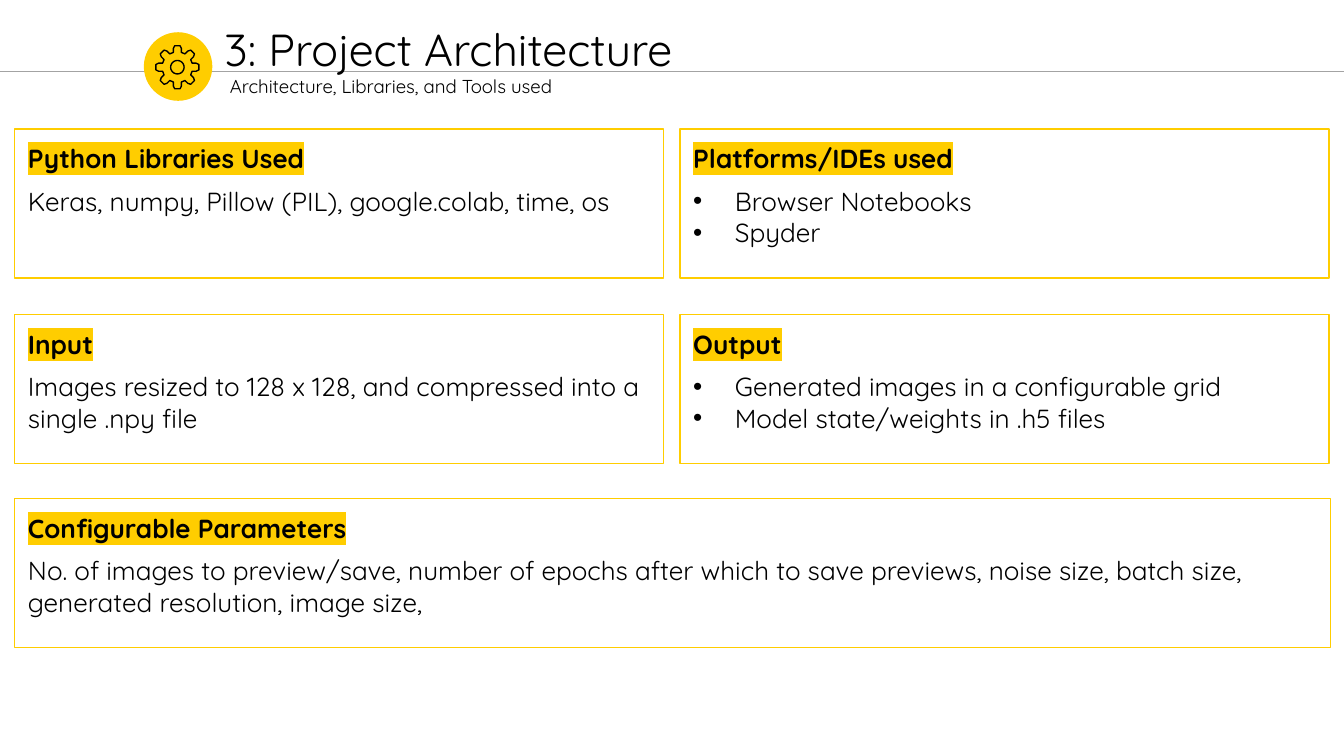
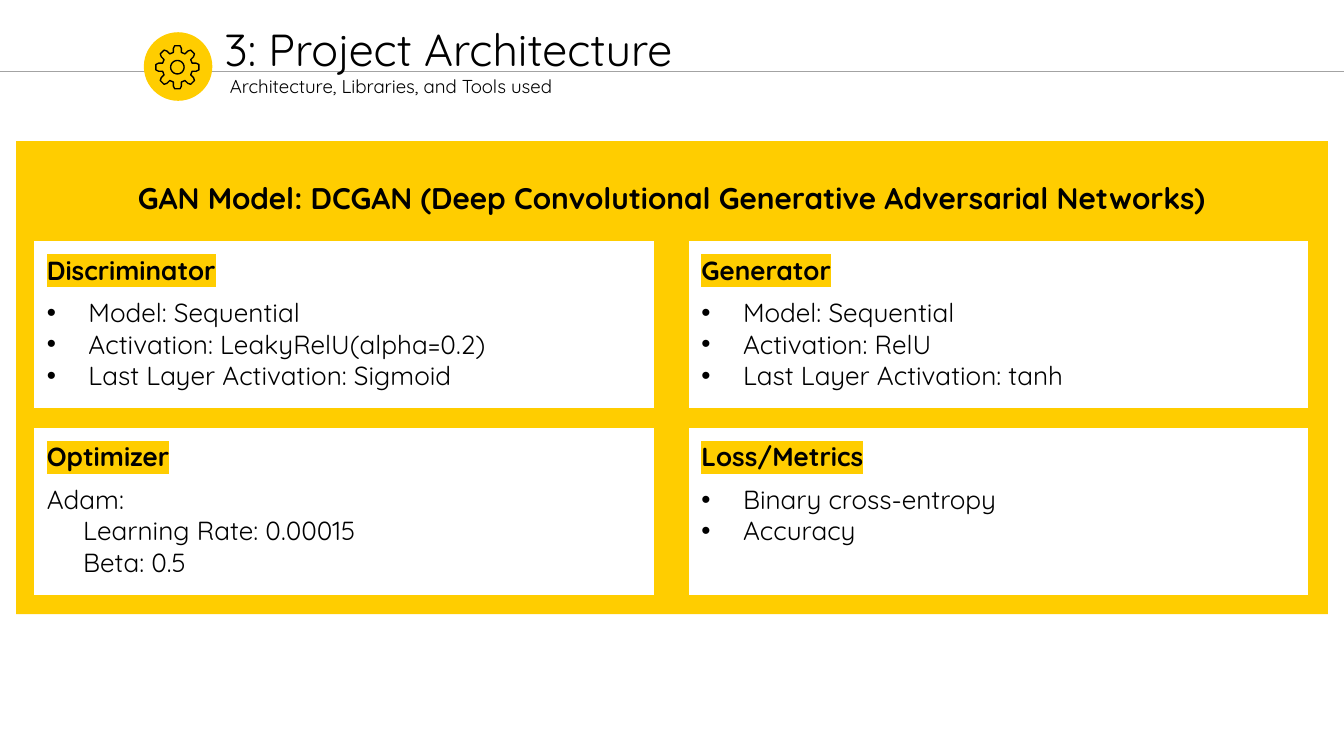
"""Builds the two project architecture slides."""
from dataclasses import dataclass
from enum import Enum
from math import cos, pi, sin

from lxml.etree import SubElement
from pptx import Presentation
from pptx.dml.color import RGBColor
from pptx.enum.shapes import MSO_CONNECTOR, MSO_SHAPE
from pptx.enum.text import MSO_ANCHOR, MSO_AUTO_SIZE, PP_ALIGN
from pptx.oxml.ns import qn
from pptx.util import Inches, Pt


@dataclass(frozen=True)
class Theme:
    font: str = "Quicksand"
    bullet_font: str = "Arial"
    yellow: str = "FFCD00"
    black: str = "000000"
    white: str = "FFFFFF"
    grey: str = "A3A3A3"
    title_size: int = 24
    subtitle_size: int = 10
    panel_size: int = 16
    card_size: int = 14
    line_width: float = 0.75
    paragraph_gap: int = 6
    card_inset: float = 0.1
    bullet_indent: float = 0.31
    nested_indent: float = 0.27


class Body(Enum):
    PLAIN = 1
    BULLETS = 2
    NESTED = 3


class Deck:
    def __init__(self, theme):
        self.theme = theme
        self.presentation = Presentation()
        self.presentation.slide_width = Inches(10)
        self.presentation.slide_height = Inches(10) * 9 // 16
        self.slide = None

    def add_slide(self, title, subtitle):
        self.slide = self.presentation.slides.add_slide(self.presentation.slide_layouts[5])
        self.rule(0.53)
        self.shape(MSO_SHAPE.OVAL, (1.07, 0.24, 0.51, 0.51), fill=self.theme.yellow)
        self.title(title, subtitle)

    def outline(self, shape, color):
        shape.line.color.rgb = RGBColor.from_string(color)
        shape.line.width = Pt(self.theme.line_width)

    def rule(self, top):
        connector = self.slide.shapes.add_connector(
            MSO_CONNECTOR.STRAIGHT, 0, Inches(top), self.presentation.slide_width, Inches(top))
        self.outline(connector, self.theme.grey)
        SubElement(connector.element.spPr, qn("a:effectLst"))

    def shape(self, kind, box, fill=None, line=None):
        shape = self.slide.shapes.add_shape(kind, *map(Inches, box))
        shape.shadow.inherit = False
        if fill:
            shape.fill.solid()
            shape.fill.fore_color.rgb = RGBColor.from_string(fill)
        else:
            shape.fill.background()
        if line:
            self.outline(shape, line)
        else:
            shape.line.fill.background()
        return shape

    def text_frame(self, shape, side=0.1, top=0.05):
        frame = shape.text_frame
        frame.word_wrap = True
        frame.vertical_anchor = MSO_ANCHOR.TOP
        frame.margin_left = frame.margin_right = Inches(side)
        frame.margin_top = frame.margin_bottom = Inches(top)
        return frame

    def style(self, paragraph, size, bold=False, align=PP_ALIGN.LEFT):
        paragraph.alignment = align
        font = paragraph.font
        font.name = self.theme.font
        font.size = Pt(size)
        font.bold = bold
        font.color.rgb = RGBColor.from_string(self.theme.black)

    def indent(self, paragraph, left, first=0):
        properties = paragraph._p.get_or_add_pPr()
        properties.set("marL", str(Inches(left)))
        properties.set("indent", str(Inches(first)))
        return properties

    def bullet(self, paragraph):
        width = self.theme.bullet_indent
        properties = self.indent(paragraph, width, -width)
        color = SubElement(properties, qn("a:buClr"))
        SubElement(color, qn("a:srgbClr"), val=self.theme.black)
        SubElement(properties, qn("a:buFont"), typeface=self.theme.bullet_font)
        SubElement(properties, qn("a:buChar"), char="•")

    def highlight(self, run):
        mark = SubElement(run._r.get_or_add_rPr(), qn("a:highlight"))
        SubElement(mark, qn("a:srgbClr"), val=self.theme.yellow)

    def title(self, title, subtitle):
        shape = self.slide.shapes.title
        shape.left, shape.top, shape.width, shape.height = map(Inches, (1.57, 0.11, 5.81, 0.67))
        self.slide.shapes.element.append(shape.element)
        frame = self.text_frame(shape)
        frame.auto_size = MSO_AUTO_SIZE.SHAPE_TO_FIT_TEXT
        heading = frame.paragraphs[0]
        heading.text = title
        self.style(heading, self.theme.title_size)
        caption = frame.add_paragraph()
        caption.text = subtitle
        self.indent(caption, 0.04)
        self.style(caption, self.theme.subtitle_size)

    def gear(self, center_x, center_y):
        tooth = [(-0.03, -0.11), (-0.03, -0.14), (-0.02, -0.16),
                 (0.02, -0.16), (0.03, -0.14), (0.03, -0.11)]
        turns = [index * pi / 4 for index in range(8)]
        rim = [(x * cos(turn) - y * sin(turn), x * sin(turn) + y * cos(turn))
               for turn in turns for x, y in tooth]
        hole = [(0.05 * cos(step * pi / 12), 0.05 * sin(step * pi / 12)) for step in range(24)]
        rim, hole = ([(Inches(center_x + x), Inches(center_y + y)) for x, y in points]
                     for points in (rim, hole))
        builder = self.slide.shapes.build_freeform(*rim[0])
        builder.add_line_segments(rim[1:], close=True)
        builder.move_to(*hole[0])
        builder.add_line_segments(hole[1:], close=True)
        shape = builder.convert_to_shape()
        shape.shadow.inherit = False
        shape.fill.background()
        self.outline(shape, self.theme.black)

    def panel(self, box, text):
        shape = self.shape(MSO_SHAPE.RECTANGLE, box, fill=self.theme.yellow)
        paragraph = self.text_frame(shape, top=0.29).paragraphs[0]
        paragraph.text = text
        self.style(paragraph, self.theme.panel_size, bold=True, align=PP_ALIGN.CENTER)

    def card(self, box, heading, lines, body=Body.PLAIN, fill=None):
        theme = self.theme
        shape = self.shape(MSO_SHAPE.RECTANGLE, box, fill, theme.yellow)
        frame = self.text_frame(shape, theme.card_inset, theme.card_inset)
        paragraph = frame.paragraphs[0]
        run = paragraph.add_run()
        run.text = heading
        self.highlight(run)
        self.style(paragraph, theme.card_size, bold=True)
        for index, line in enumerate(lines):
            paragraph = frame.add_paragraph()
            paragraph.text = line
            paragraph.space_before = Pt(0 if index else theme.paragraph_gap)
            if body is Body.BULLETS:
                self.bullet(paragraph)
            elif body is Body.NESTED and index:
                self.indent(paragraph, theme.nested_indent)
            self.style(paragraph, theme.card_size)

    def card_grid(self, origin, size, pitch, cards, fill=None):
        for index, card in enumerate(cards):
            row, column = divmod(index, 2)
            left = origin[0] + column * pitch[0]
            top = origin[1] + row * pitch[1]
            self.card((left, top, *size), *card, fill=fill)


TITLE = ("3: Project Architecture", "Architecture, Libraries, and Tools used")
GEAR_CENTER = (1.32, 0.5)

SETUP_CARDS = [
    ("Python Libraries Used", ["Keras, numpy, Pillow (PIL), google.colab, time, os"], Body.PLAIN),
    ("Platforms/IDEs used", ["Browser Notebooks", "Spyder"], Body.BULLETS),
    ("Input", ["Images resized to 128 x 128, and compressed into a single .npy file"], Body.PLAIN),
    ("Output", ["Generated images in a configurable grid", "Model state/weights in .h5 files"],
     Body.BULLETS),
]

PARAMETERS = ("No. of images to preview/save, number of epochs after which to save previews, "
              "noise size, batch size, generated resolution, image size,")

MODEL_CARDS = [
    ("Discriminator", ["Model: Sequential", "Activation: LeakyRelU(alpha=0.2)",
                       "Last Layer Activation: Sigmoid"], Body.BULLETS),
    ("Generator", ["Model: Sequential", "Activation: RelU", "Last Layer Activation: tanh"],
     Body.BULLETS),
    ("Optimizer", ["Adam:", "Learning Rate: 0.00015", "Beta: 0.5"], Body.NESTED),
    ("Loss/Metrics", ["Binary cross-entropy", "Accuracy"], Body.BULLETS),
]


def main():
    theme = Theme()
    deck = Deck(theme)

    deck.add_slide(*TITLE)
    deck.card_grid((0.11, 0.96), (4.83, 1.11), (4.95, 1.38), SETUP_CARDS)
    deck.card((0.11, 3.71, 9.79, 1.11), "Configurable Parameters", [PARAMETERS])
    deck.gear(*GEAR_CENTER)

    deck.add_slide(*TITLE)
    deck.panel((0.12, 1.05, 9.76, 3.52),
               "GAN Model: DCGAN (Deep Convolutional Generative Adversarial Networks)")
    deck.card_grid((0.25, 1.79), (4.62, 1.25), (4.87, 1.39), MODEL_CARDS, theme.white)
    deck.gear(*GEAR_CENTER)

    deck.presentation.save("out.pptx")


if __name__ == "__main__":
    main()
